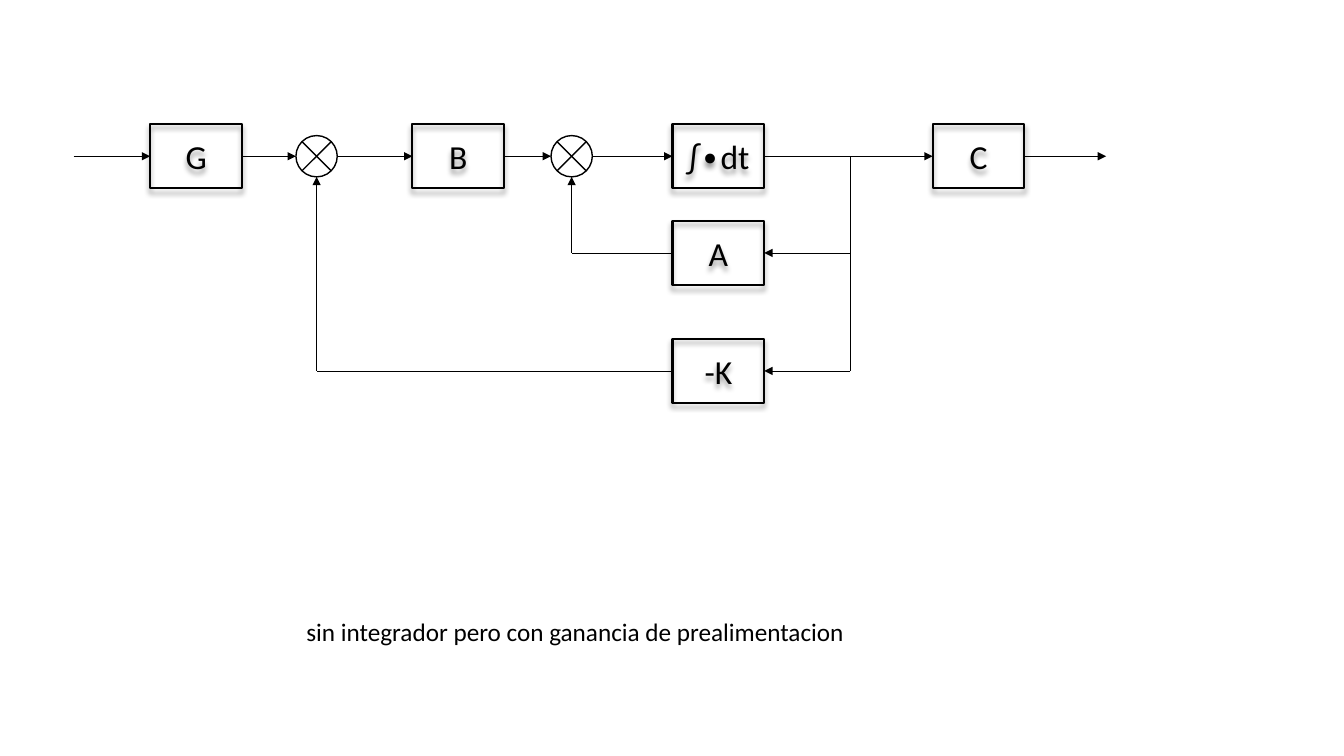
"""Build the state-feedback block diagram slide."""
from lxml.etree import SubElement
from pptx import Presentation
from pptx.dml.color import RGBColor
from pptx.enum.shapes import MSO_CONNECTOR, MSO_SHAPE
from pptx.enum.text import MSO_ANCHOR, PP_ALIGN
from pptx.oxml.ns import qn
from pptx.util import Inches, Pt

BLACK = RGBColor(0, 0, 0)
FONT = "Calibri"
CAPTION = "sin integrador pero con ganancia de prealimentacion"

BOX_W, BOX_H = 0.91, 0.64
JUNCTION = 0.41
MAIN_Y, A_Y, K_Y = 1.55, 2.51, 3.68
G_X, B_X, PLANT_X, C_X = 1.49, 4.09, 6.67, 9.25
OUTER_X, INNER_X, BRANCH_X = 3.14, 5.67, 8.43
START_X, END_X = 0.73, 10.97

BLOCKS = [
    ("G", G_X, MAIN_Y),
    ("B", B_X, MAIN_Y),
    ("∫∙dt", PLANT_X, MAIN_Y),
    ("C", C_X, MAIN_Y),
    ("A", PLANT_X, A_Y),
    ("-K", PLANT_X, K_Y),
]
FEEDBACKS = [(A_Y, INNER_X), (K_Y, OUTER_X)]


def style_text(p, size):
    """Format every run of a paragraph."""
    for r in p.runs:
        r.font.size = Pt(size)
        r.font.name = FONT
        r.font.color.rgb = BLACK


def add_outline(s, kind, x, y, w, h, weight):
    """Add an unfilled black shape centred vertically on y."""
    sp = s.shapes.add_shape(kind, Inches(x), Inches(y - h / 2), Inches(w), Inches(h))
    sp.fill.background()
    sp.line.color.rgb = BLACK
    sp.line.width = Pt(weight)
    sp.shadow.inherit = False
    return sp


def add_block(s, label, x, y):
    """Add a labelled block with a soft shadow."""
    sp = add_outline(s, MSO_SHAPE.RECTANGLE, x, y, BOX_W, BOX_H, 1.5)
    effects = sp.element.spPr.find(qn("a:effectLst"))
    shadow = SubElement(effects, qn("a:outerShdw"), blurRad=str(Pt(4)),
                        dist=str(Pt(3)), dir="5400000", rotWithShape="0")
    color = SubElement(shadow, qn("a:srgbClr"), val=str(BLACK))
    SubElement(color, qn("a:alpha"), val="40000")
    tf = sp.text_frame
    tf.vertical_anchor = MSO_ANCHOR.MIDDLE
    tf.text = label
    tf.paragraphs[0].alignment = PP_ALIGN.CENTER
    style_text(tf.paragraphs[0], 24)


def add_wire(s, x1, y1, x2, y2, arrow=True):
    """Add a thin signal line, with an arrowhead at its end by default."""
    c = s.shapes.add_connector(MSO_CONNECTOR.STRAIGHT, Inches(x1), Inches(y1),
                               Inches(x2), Inches(y2))
    c.line.color.rgb = BLACK
    c.line.width = Pt(0.5)
    spPr = c.element.spPr
    if arrow:
        SubElement(spPr.find(qn("a:ln")), qn("a:tailEnd"), type="triangle")
    SubElement(spPr, qn("a:effectLst"))


def main():
    """Draw the diagram and its caption."""
    prs = Presentation()
    prs.slide_width, prs.slide_height = Inches(13.33), Inches(7.5)
    s = prs.slides.add_slide(prs.slide_layouts[6])

    for label, x, y in BLOCKS:
        add_block(s, label, x, y)

    r = JUNCTION / 2
    for x in (OUTER_X, INNER_X):
        add_outline(s, MSO_SHAPE.FLOWCHART_SUMMING_JUNCTION, x - r, MAIN_Y,
                    JUNCTION, JUNCTION, 1)

    stops = [(G_X, G_X + BOX_W), (OUTER_X - r, OUTER_X + r), (B_X, B_X + BOX_W),
             (INNER_X - r, INNER_X + r), (PLANT_X, PLANT_X + BOX_W),
             (C_X, C_X + BOX_W)]
    starts = [START_X] + [right for _, right in stops]
    ends = [left for left, _ in stops] + [END_X]
    for x1, x2 in zip(starts, ends):
        add_wire(s, x1, MAIN_Y, x2, MAIN_Y)

    add_wire(s, BRANCH_X, MAIN_Y, BRANCH_X, K_Y, arrow=False)
    for y, x in FEEDBACKS:
        add_wire(s, BRANCH_X, y, PLANT_X + BOX_W, y)
        add_wire(s, PLANT_X, y, x, y, arrow=False)
        add_wire(s, x, y, x, MAIN_Y + r)

    tf = s.shapes.add_textbox(Inches(2.94), Inches(6.07), Inches(5.72),
                              Inches(0.4)).text_frame
    tf.word_wrap = True
    tf.text = CAPTION
    style_text(tf.paragraphs[0], 18)

    prs.save("out.pptx")


if __name__ == "__main__":
    main()
